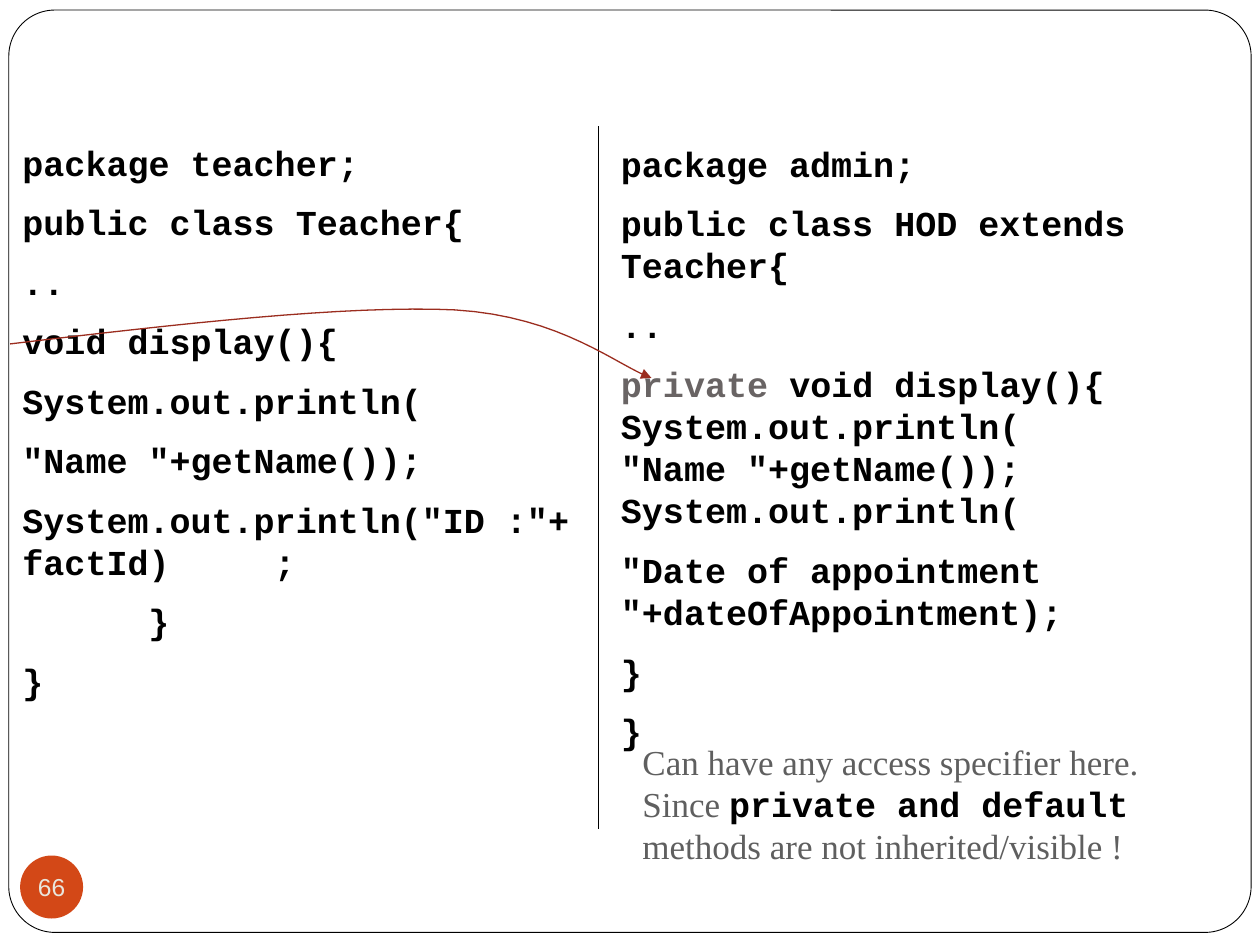
from lxml.etree import SubElement
from pptx import Presentation
from pptx.dml.color import RGBColor
from pptx.enum.shapes import MSO_CONNECTOR, MSO_SHAPE
from pptx.enum.text import MSO_ANCHOR, PP_ALIGN
from pptx.oxml.ns import qn
from pptx.util import Inches, Pt

BLACK = RGBColor(0x00, 0x00, 0x00)
WHITE = RGBColor(0xFF, 0xFF, 0xFF)
MUTED = RGBColor(0x69, 0x64, 0x64)
GRAY = RGBColor(0x5F, 0x5F, 0x5F)
RED = RGBColor(0x9B, 0x2D, 0x1F)
ORANGE = RGBColor(0xD3, 0x48, 0x17)
CREAM = RGBColor(0xE9, 0xE5, 0xDC)

CODE = dict(font="Courier New", color=BLACK, bold=True)
NOTE = dict(font="Times New Roman", color=GRAY, bold=False)
GAP = 10

TEACHER = [
    (GAP, [("package teacher;", CODE)]),
    (GAP, [("public class Teacher{", CODE)]),
    (GAP, [("..", CODE)]),
    (GAP, [("void display(){", CODE)]),
    (GAP, [("System.out.println(", CODE)]),
    (GAP, [('"Name "+getName());', CODE)]),
    (GAP, [('System.out.println("ID :"+factId)\t;', CODE)]),
    (GAP, [("\t}", CODE)]),
    (GAP, [("}", CODE)]),
]
ADMIN = [
    (GAP, [("package admin;", CODE)]),
    (GAP, [("public class HOD extends Teacher{", CODE)]),
    (GAP, [("..", CODE)]),
    (GAP, [("private ", {**CODE, "color": MUTED}), ("void display(){", CODE)]),
    (0, [("System.out.println(", CODE)]),
    (0, [('"Name "+getName()); System.out.println(', CODE)]),
    (GAP, [('"Date of appointment "+dateOfAppointment);', CODE)]),
    (GAP, [("}", CODE)]),
    (GAP, [("}", CODE)]),
]
REMARK = [
    (0, [("Can have any access specifier here. Since ", NOTE),
         ("private and default ", CODE),
         ("methods are not inherited/visible !", NOTE)]),
]
TEXTS = [
    (TEACHER, (0.08, 1.07, 4.58, 4.81)),
    (ADMIN, (4.83, 1.08, 5.25, 5.15)),
    (REMARK, (5, 5.83, 4.75, 1.11)),
]
CURVES = [
    [(0.08, 2.73), (1.42, 2.57), (2.76, 2.42), (3.61, 2.46)],
    [(3.61, 2.46), (4.46, 2.51), (4.91, 2.91), (5.17, 3)],
]
STEPS = 16


def add_run(p, text, font="Arial", color=BLACK, bold=False, size=20):
    r = p.add_run()
    r.text = text
    r.font.name = font
    r.font.size = Pt(size)
    r.font.bold = bold
    r.font.color.rgb = color


def add_text(s, paragraphs, box):
    tf = s.shapes.add_textbox(*map(Inches, box)).text_frame
    tf.word_wrap = True
    for i, (gap, runs) in enumerate(paragraphs):
        p = tf.paragraphs[0] if i == 0 else tf.add_paragraph()
        tabs = SubElement(p._p.get_or_add_pPr(), qn("a:tabLst"))
        for inch in (1, 2):
            SubElement(tabs, qn("a:tab"), pos=str(Inches(inch)), algn="l")
        p.line_spacing = Pt(24)
        p.space_before = Pt(gap if i else 0)
        for text, style in runs:
            add_run(p, text, **style)


def add_shape(s, kind, box, fill):
    sp = s.shapes.add_shape(kind, *map(Inches, box))
    sp.shadow.inherit = False
    sp.fill.solid()
    sp.fill.fore_color.rgb = fill
    return sp


def bezier(points, t):
    weights = ((1 - t) ** 3, 3 * t * (1 - t) ** 2, 3 * t * t * (1 - t), t ** 3)
    return tuple(Inches(sum(w * v for w, v in zip(weights, axis)))
                 for axis in zip(*points))


def add_arrow(s):
    points = [bezier(c, i / STEPS) for c in CURVES for i in range(1, STEPS + 1)]
    builder = s.shapes.build_freeform(*bezier(CURVES[0], 0))
    builder.add_line_segments(points, close=False)
    sp = builder.convert_to_shape()
    sp.shadow.inherit = False
    sp.fill.background()
    sp.line.color.rgb = RED
    sp.line.width = Pt(0.75)
    SubElement(sp.line._get_or_add_ln(), qn("a:tailEnd"), type="triangle")


def add_divider(s):
    line = s.shapes.add_connector(MSO_CONNECTOR.STRAIGHT, Inches(4.75), Inches(1),
                                  Inches(4.75), Inches(6.58))
    line.line.color.rgb = BLACK
    line.line.width = Pt(0.75)
    SubElement(line._element.spPr, qn("a:effectLst"))


def add_number(s):
    sp = add_shape(s, MSO_SHAPE.OVAL, (0.16, 6.79, 0.5, 0.5), ORANGE)
    sp.line.fill.background()
    tf = sp.text_frame
    tf.margin_left = tf.margin_right = tf.margin_top = tf.margin_bottom = 0
    tf.word_wrap = False
    tf.vertical_anchor = MSO_ANCHOR.MIDDLE
    p = tf.paragraphs[0]
    p.alignment = PP_ALIGN.CENTER
    add_run(p, "66", color=CREAM, size=14)


def main():
    prs = Presentation()
    prs.slide_width, prs.slide_height = Inches(10), Inches(7.5)
    s = prs.slides.add_slide(prs.slide_layouts[6])
    frame = add_shape(s, MSO_SHAPE.ROUNDED_RECTANGLE, (0.07, 0.08, 9.86, 7.32), WHITE)
    frame.adjustments[0] = 0.05
    frame.line.color.rgb = BLACK
    frame.line.width = Pt(0.5)
    for paragraphs, box in TEXTS:
        add_text(s, paragraphs, box)
    add_divider(s)
    add_arrow(s)
    add_number(s)
    prs.save("out.pptx")


if __name__ == "__main__":
    main()
